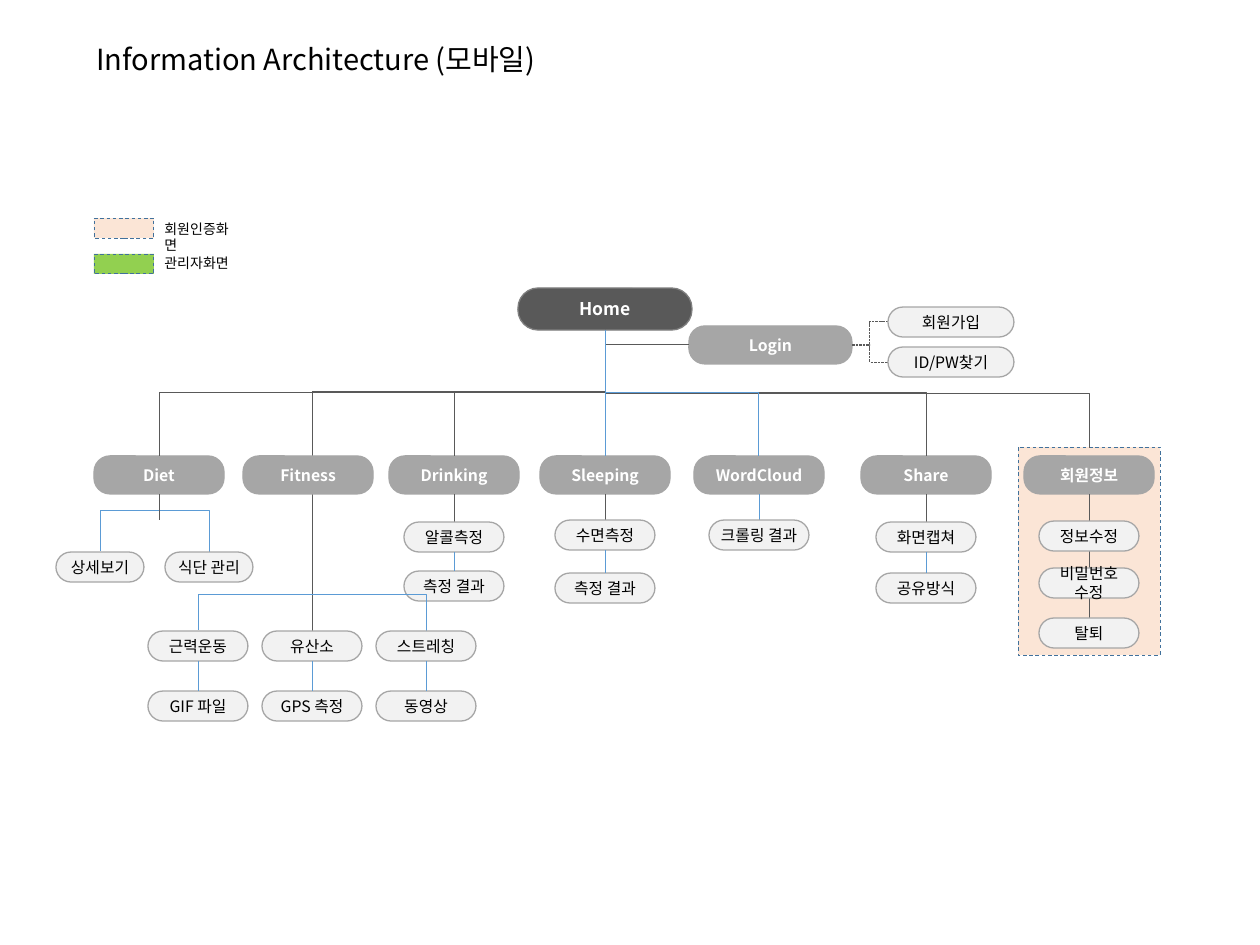
import pptx
import pptx.dml.color
import pptx.enum.dml
import pptx.enum.shapes
import pptx.enum.text
import pptx.oxml.ns
import pptx.util
import lxml.etree

PX = 914400 / 126
FONT = "Noto Sans CJK KR"
HUE = {"dark": "595959", "rim": "7F7F7F", "gray": "A6A6A6", "pale": "F2F2F2",
       "peach": "FBE5D6", "green": "92D050", "navy": "41719C", "blue": "5B9BD5",
       "white": "FFFFFF", "black": "000000"}
RGB = {name: pptx.dml.color.RGBColor.from_string(code) for name, code in HUE.items()}
KIND = pptx.enum.shapes.MSO_SHAPE
LINK = pptx.enum.shapes.MSO_CONNECTOR
DASH = pptx.enum.dml.MSO_LINE
ALIGN = pptx.enum.text.PP_ALIGN
ANCHOR = pptx.enum.text.MSO_ANCHOR
qn = pptx.oxml.ns.qn

# fill, edge, corner, text size, text colour, bold
STYLE = {
    "home": ("dark", "rim", 0.48, 10, "white", True),
    "menu": ("gray", "gray", 0.42, 9, "white", True),
    "pill": ("pale", "gray", 0.5, 9, "black", False),
    "peach": ("peach", "navy", None, 9, "black", False),
    "green": ("green", "navy", None, 9, "black", False),
    "title": (None, None, None, 16.6, "black", False),
    "note": (None, None, None, 8, "black", False),
}

deck = pptx.Presentation()
deck.slide_width = round(1260 * PX)
deck.slide_height = round(945 * PX)
slide = deck.slides.add_slide(deck.slide_layouts[6])


def box(style, x, y, w, h, text=""):
    fill, edge, bend, size, color, bold = STYLE[style]
    place = [round(n * PX) for n in (x, y, w, h)]
    if fill:
        kind = KIND.ROUNDED_RECTANGLE if bend else KIND.RECTANGLE
        shape = slide.shapes.add_shape(kind, *place)
        shape.shadow.inherit = False
        shape.fill.solid()
        shape.fill.fore_color.rgb = RGB[fill]
        shape.line.color.rgb = RGB[edge]
        shape.line.width = pptx.util.Pt(0.75 if bend else 0.5)
        if bend:
            shape.adjustments[0] = bend
        else:
            shape.line.dash_style = DASH.DASH
    else:
        shape = slide.shapes.add_textbox(*place)
    if text:
        frame = shape.text_frame
        frame.word_wrap = style != "note"
        para = frame.paragraphs[0]
        if fill:
            frame.vertical_anchor = ANCHOR.MIDDLE
            para.alignment = ALIGN.CENTER
            for side in ("left", "top", "right", "bottom"):
                setattr(frame, "margin_" + side, round(2 * PX))
        run = para.add_run()
        run.text = text
        form = {"name": FONT, "size": pptx.util.Pt(size), "bold": bold}
        for key, value in form.items():
            setattr(run.font, key, value)
        run.font.color.rgb = RGB[color]
        east = lxml.etree.SubElement(run.font._element, qn("a:ea"))
        east.set("typeface", FONT)
    return shape


def wire(kind, x1, y1, x2, y2, color):
    line = slide.shapes.add_connector(kind, *[round(n * PX) for n in (x1, y1, x2, y2)])
    line.line.color.rgb = RGB[color]
    line.line.width = pptx.util.Pt(0.5)
    lxml.etree.SubElement(line._element.spPr, qn("a:effectLst"))
    return line


# Title and legend
title = box("title", 84, 45, 745, 40, "Information Architecture (모바일)")
title.text_frame.paragraphs[0].line_spacing = 0.7
for style, y, top, text in (("peach", 218, 214, "회원인증화면"),
                            ("green", 254, 248, "관리자화면")):
    box(style, 94, y, 60, 20)
    box("note", 152, top, 102, 30, text)

# Home, login and its two pages
home = box("home", 518, 288, 174, 42, "Home")
box("menu", 689, 326, 163, 38, "Login")
for y, text in ((307, "회원가입"), (347, "ID/PW찾기")):
    dash = wire(LINK.ELBOW, 852, 345, 888, y + 15, "dark")
    dash.line.dash_style = DASH.SQUARE_DOT
    box("pill", 888, y, 126, 30, text)

# Menu columns: name, middle, pages, lead line (page, side, colour)
box("peach", 1018, 447, 142, 208)
columns = (
    ("Diet", 159, (), None),
    ("Drinking", 454, ((522, "알콜측정"), (571, "측정 결과")), (0, 2, "dark")),
    ("Sleeping", 605, ((520, "수면측정"), (573, "측정 결과")), (0, 2, "dark")),
    ("WordCloud", 759, ((520, "크롤링 결과"),), (0, 0, "blue")),
    ("Share", 926, ((522, "화면캡쳐"), (573, "공유방식")), (0, 0, "dark")),
    ("회원정보", 1089, ((521, "정보수정"), (568, "비밀번호 수정"), (618, "탈퇴")),
     (2, 0, "dark")),
)
menus = {}
for name, mid, pages, lead in columns:
    menu = menus[name] = box("menu", mid - 65, 456, 130, 38, name)
    if not lead:
        continue
    last, side, color = lead
    stem = wire(LINK.STRAIGHT, mid, 494, mid, pages[last][0], color)
    stem.begin_connect(menu, 2)
    pills = [box("pill", mid - 50, y, 100, 30, text) for y, text in pages]
    stem.end_connect(pills[last], side)
    if len(pills) == 2:
        drop = wire(LINK.STRAIGHT, mid, pages[0][0] + 30, mid, pages[1][0], "blue")
        drop.begin_connect(pills[0], 2)
        drop.end_connect(pills[1], 0)

# Branches that leave downward: start, end, height of the level part
branches = (
    (605, 330, 312, 631, 392, "dark"),
    (605, 330, 159, 456, 393, "dark"),
    (605, 330, 454, 456, 393, "dark"),
    (605, 330, 926, 456, 393, "dark"),
    (605, 330, 689, 345, None, "dark"),
    (605, 330, 1089, 448, 393, "dark"),
    (605, 330, 759, 456, 393, "blue"),
    (100, 551, 209, 552, 510, "blue"),
    (198, 630, 426, 631, 594, "blue"),
)
for x1, y1, x2, y2, level, color in branches:
    # the elbow is laid flat around its centre, then turned a quarter
    cx, cy = (x1 + x2) / 2, (y1 + y2) / 2
    half = (y2 - y1) / 2 * (1 if x2 < x1 else -1)
    rise = abs(x2 - x1) / 2
    elbow = wire(LINK.ELBOW, cx - half, cy - rise, cx + half, cy + rise, color)
    props = elbow._element.spPr
    props.find(qn("a:xfrm")).set("rot", str((90 if x2 < x1 else 270) * 60000))
    geom = props.find(qn("a:prstGeom"))
    if level is None:
        geom.set("prst", "bentConnector2")
    else:
        ratio = round((level - y1) / (y2 - y1) * 100000)
        guide = lxml.etree.SubElement(geom.find(qn("a:avLst")), qn("a:gd"))
        guide.set("name", "adj1")
        guide.set("fmla", f"val {ratio}")
spine = wire(LINK.STRAIGHT, 605, 330, 605, 456, "blue")
spine.begin_connect(home, 2)
spine.end_connect(menus["Sleeping"], 0)

# Diet pages
stub = wire(LINK.STRAIGHT, 159, 494, 159, 520, "dark")
stub.begin_connect(menus["Diet"], 2)
for mid, text in ((100, "상세보기"), (209, "식단 관리")):
    box("pill", mid - 44, 552, 88, 30, text)

# Fitness menu and pages
box("menu", 243, 456, 130, 38, "Fitness")
for i, (first, second) in enumerate((("근력운동", "GIF 파일"), ("유산소", "GPS 측정"),
                                     ("스트레칭", "동영상"))):
    mid = 198 + 114 * i
    upper = box("pill", mid - 50, 631, 100, 30, first)
    lower = box("pill", mid - 50, 691, 100, 30, second)
    drop = wire(LINK.STRAIGHT, mid, 661, mid, 691, "blue")
    drop.begin_connect(upper, 2)
    drop.end_connect(lower, 0)

deck.save("out.pptx")
